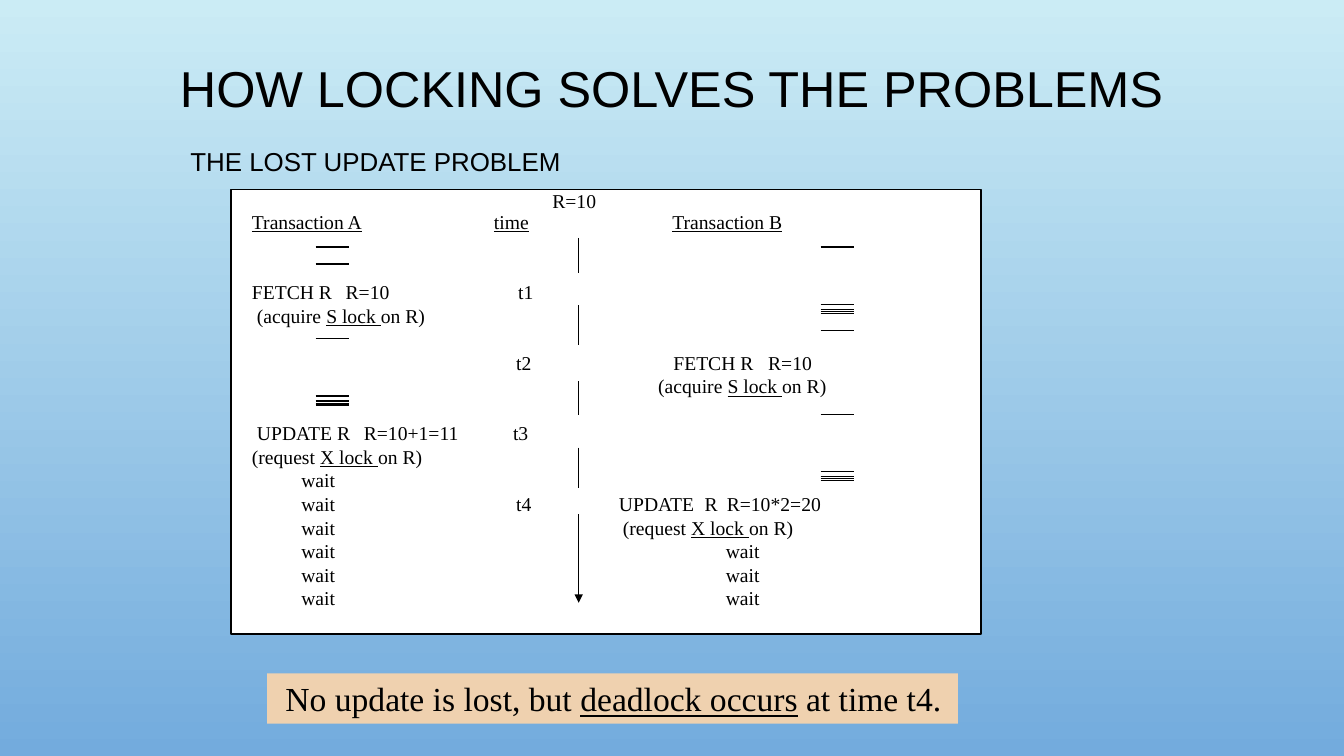
"""Build the slide on how locking handles the lost update problem."""
from lxml import etree
from pptx import Presentation
from pptx.dml.color import RGBColor
from pptx.enum.shapes import MSO_CONNECTOR, MSO_SHAPE
from pptx.enum.text import MSO_ANCHOR, PP_ALIGN
from pptx.oxml.ns import qn
from pptx.util import Inches, Pt

RECT = MSO_SHAPE.RECTANGLE
LINE = MSO_CONNECTOR.STRAIGHT
TOP, MID = MSO_ANCHOR.TOP, MSO_ANCHOR.MIDDLE
LEFT, CENTER = PP_ALIGN.LEFT, PP_ALIGN.CENTER
SANS, SERIF = "Arial", "Times New Roman"
PITCH = 16.8
COLORS = {"sky": "CBECF5", "blue": "73ABDD", "sand": "EFD1AF",
          "white": "FFFFFF", "black": "000000"}
HUES = {name: RGBColor.from_string(code) for name, code in COLORS.items()}

deck = Presentation()
deck.slide_width, deck.slide_height = Inches(13.33), Inches(7.5)
slide = deck.slides.add_slide(deck.slide_layouts[6])
shapes = slide.shapes

back = slide.background.fill
back.gradient()
back.gradient_angle = 270
for stop, hue in zip(back.gradient_stops, ("sky", "blue")):
    stop.color.rgb = HUES[hue]


def write(rows, x, y, w, h, size=14, font=SERIF, align=LEFT, anchor=TOP,
          space=None, fill=None, inset=0.1):
    """Add rows of (gap, tab stops, text); underscores enclose underlined words."""
    box = shapes.add_textbox(Inches(x), Inches(y), Inches(w), Inches(h))
    if fill:
        box.fill.solid()
        box.fill.fore_color.rgb = HUES[fill]
    frame = box.text_frame
    frame.word_wrap = True
    frame.vertical_anchor = anchor
    frame.margin_left, frame.margin_right = Inches(inset), 0
    for i, (gap, stops, text) in enumerate(rows):
        para = frame.add_paragraph() if i else frame.paragraphs[0]
        para.alignment = align
        if space:
            para.line_spacing = space
        if gap:
            para.space_before = Pt(gap * PITCH)
        if stops:
            tabs = etree.SubElement(para._p.get_or_add_pPr(), qn("a:tabLst"))
            for stop in stops:
                etree.SubElement(tabs, qn("a:tab"), pos=str(Inches(stop)), algn="l")
        for j, part in enumerate(text.split("_")):
            if part:
                run = para.add_run()
                run.text = part
                run.font.size, run.font.name = Pt(size), font
                run.font.color.rgb = HUES["black"]
                run.font.underline = j % 2 == 1


def draw(x, y, dx, dy, arrow=False):
    """Add a thin black line, with an arrowhead on request."""
    line = shapes.add_connector(LINE, Inches(x), Inches(y), Inches(x + dx), Inches(y + dy))
    line.line.color.rgb = HUES["black"]
    line.line.width = Pt(1)
    props = line._element.spPr
    if arrow:
        etree.SubElement(props.find(qn("a:ln")), qn("a:tailEnd"), type="triangle")
    etree.SubElement(props, qn("a:effectLst"))


write([(0, (), "HOW LOCKING SOLVES THE PROBLEMS")], 1, 0.03, 11.33, 1.75,
      size=36, font=SANS, align=CENTER, anchor=MID, space=0.9, inset=0)
write([(0, (), "THE LOST UPDATE PROBLEM")], 1.79, 1.39, 8.86, 0.45, size=18.5, font=SANS)
write([(0, (), "No update is lost, but _deadlock occurs_ at time t4.")],
      2.65, 6.68, 6.85, 0.5, size=24, fill="sand", inset=0.18)

panel = shapes.add_shape(RECT, Inches(2.29), Inches(1.88), Inches(7.44), Inches(4.41))
panel.shadow.inherit = False
panel.fill.solid()
panel.fill.fore_color.rgb = HUES["white"]
panel.line.color.rgb = HUES["black"]
panel.line.width = Pt(1)

steps = [
    (0, (2.4, 4.17), "_Transaction A_\t_time_\t_Transaction B_"),
    (2, (0.93, 2.64), "FETCH R\tR=10\tt1"),
    (0, (0.05,), "\t(acquire _S lock _on R)"),
    (1, (2.62, 4.18, 5.12), "\tt2\tFETCH R\tR=10"),
    (0, (4.03,), "\t(acquire _S lock _on R)"),
    (1, (0.05, 1.11, 2.59), "\tUPDATE R\tR=10+1=11\tt3"),
    (0, (), "(request _X lock _on R)"),
    (0, (0.49,), "\twait"),
    (0, (0.49, 2.62, 3.64, 4.49, 4.71), "\twait\tt4\tUPDATE\tR\tR=10*2=20"),
    (0, (0.49, 3.68), "\twait\t(request _X lock _on R)"),
] + [(0, (0.49, 4.7), "\twait\twait")] * 3
write(steps, 2.4, 2.03, 8.25, 4.07, space=Pt(PITCH))
write([(0, (), "R=10")], 5.38, 1.83, 0.79, 0.33)

for y, length in ((2.36, 0.35), (3.03, 0.39), (3.78, 0.34), (4.44, 0.4)):
    draw(5.74, y, 0, length)
draw(5.74, 5.1, 0, 0.88, arrow=True)

for x, y in ((3.13, 2.45), (3.13, 2.62), (8.14, 3.28)):
    draw(x, y, 0.33, 0)
for x, y in ((3.13, 3.36), (8.14, 2.45), (8.14, 4.11)):
    for drop in (0, 0.57, 0.62, 0.64, 0.66):
        draw(x, y + drop, 0.33, 0)

deck.save("out.pptx")
